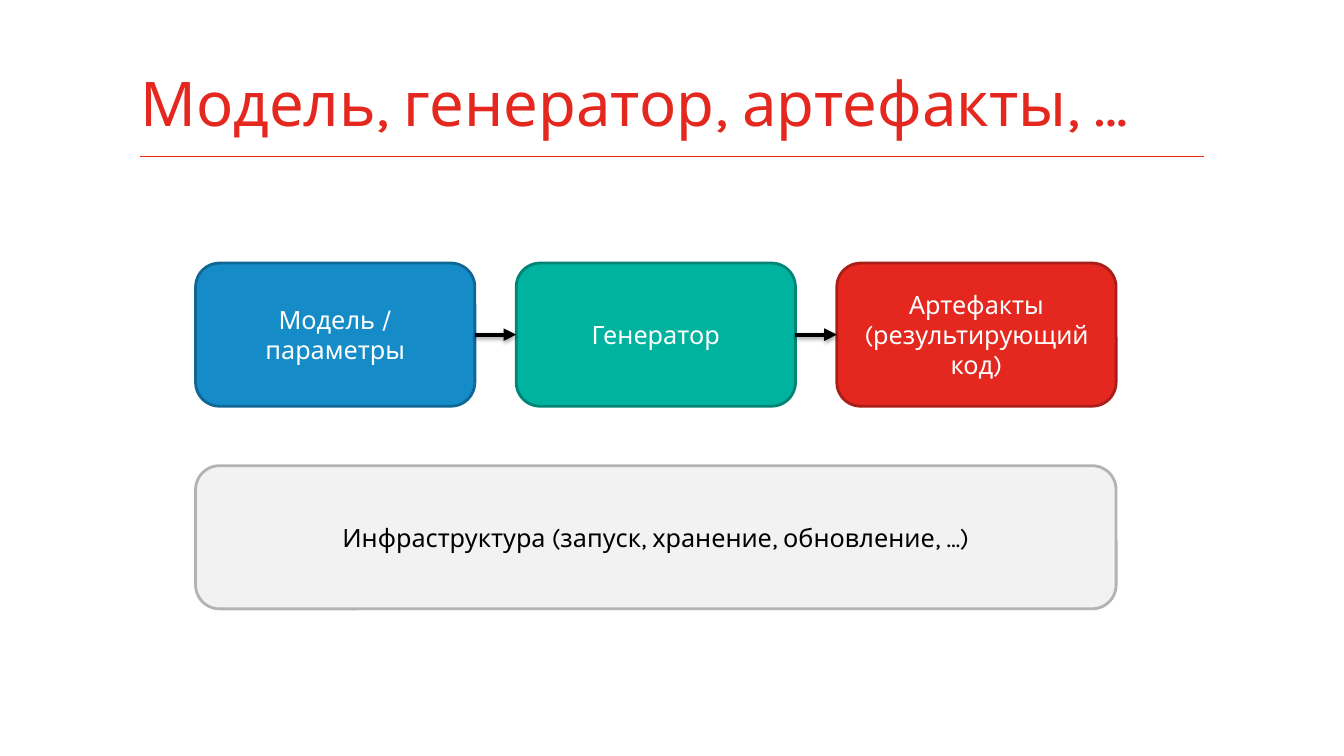
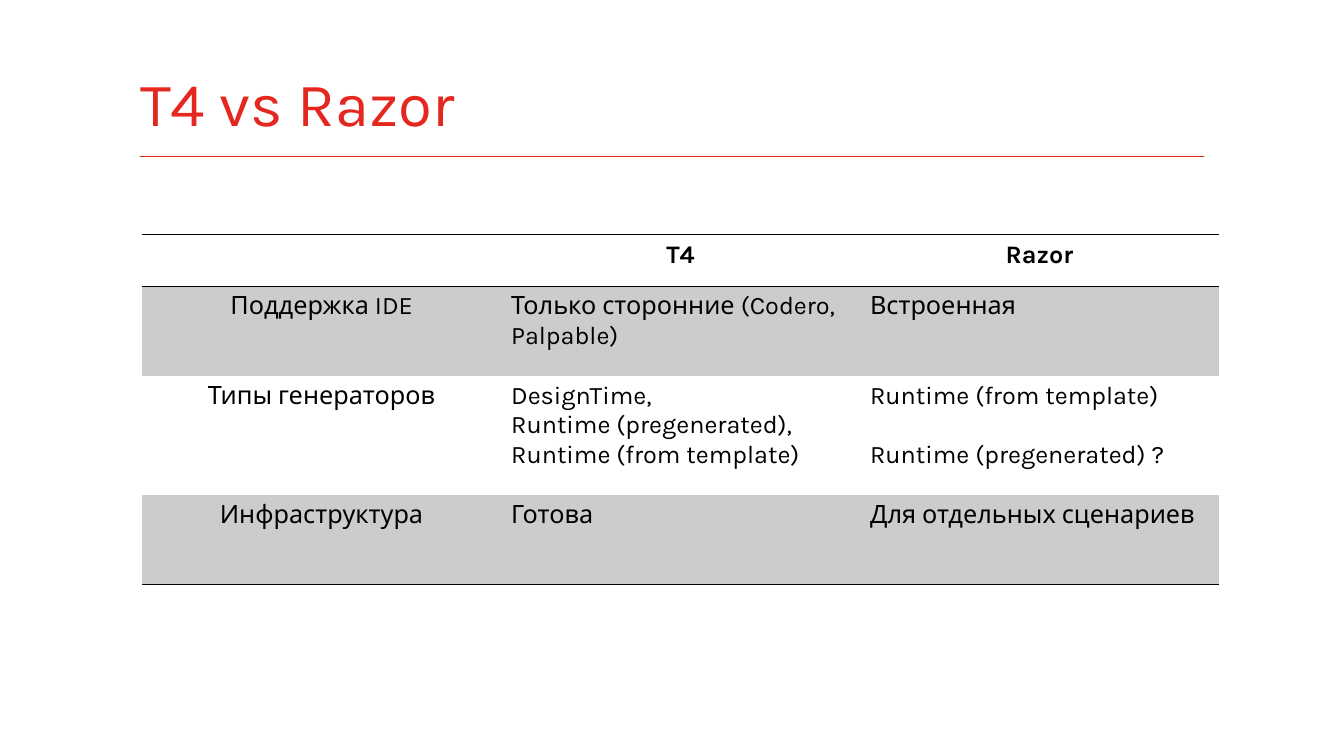
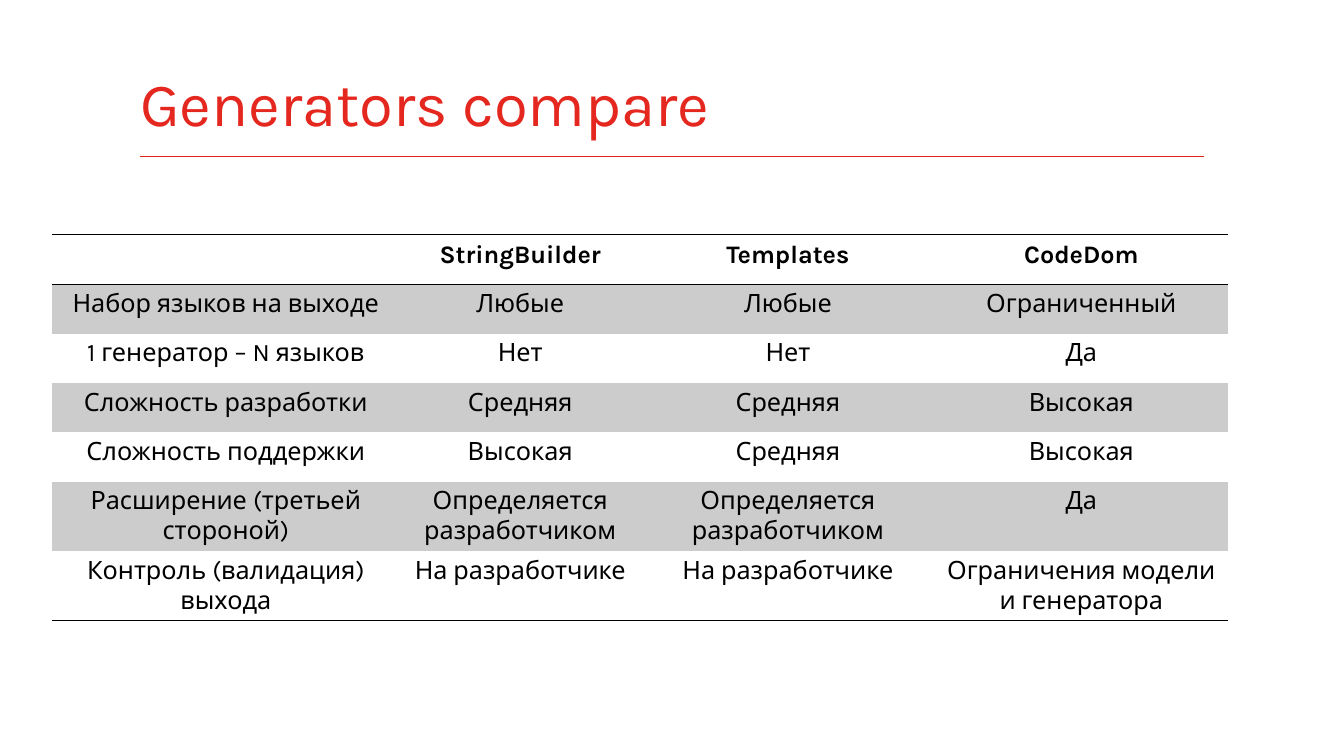
from dataclasses import dataclass
from pptx import Presentation
from pptx.dml.color import RGBColor as Rgb
from pptx.enum.shapes import MSO_CONNECTOR as Link, MSO_SHAPE as Form
from pptx.enum.text import MSO_ANCHOR as Anchor, MSO_AUTO_SIZE as Fit, PP_ALIGN as Align
from pptx.oxml import parse_xml
from pptx.oxml.ns import nsdecls, qn
from pptx.util import Inches, Pt


@dataclass(frozen=True)
class Theme:
    font: str = "Karla"
    head: int = 44
    body: int = 18
    gap: int = 21
    red: str = "E5281F"
    rule: str = "E52319"
    black: str = "000000"
    white: str = "FFFFFF"
    band: str = "CCCCCC"
    plain: str = "{2D5ABB26-0587-4C30-8999-92F81FD0307C}"


T = Theme()
LEFT, WIDE, RULE = 1.39, 10.55, 1.55

FLOW = {
    "title": "Модель, генератор, артефакты, …",
    "steps": [
        ("Модель / параметры", "158BC8", "106794"),
        ("Генератор", "00B39F", "008476"),
        ("Артефакты (результирующий код)", T.red, "A91E17"),
    ],
    "base": ("Инфраструктура (запуск, хранение, обновление, …)", "F2F2F2", "B3B3B3"),
}

GRIDS = [
    {
        "title": "T4 vs Razor",
        "left": 1.41,
        "cols": [3.56] * 3,
        "rows": [0.51, 0.89, 1.18, 0.89],
        "align": Align.LEFT,
        "cells": [
            ("", "T4", "Razor"),
            ("Поддержка IDE", "Только сторонние (Codero, Palpable)", "Встроенная"),
            ("Типы генераторов",
             "DesignTime,\nRuntime (pregenerated),\nRuntime (from template)",
             "Runtime (from template)\n\nRuntime (pregenerated) ?"),
            ("Инфраструктура", "Готова", "Для отдельных сценариев"),
        ],
    },
    {
        "title": "Generators compare",
        "left": 0.52,
        "cols": [3.44, 2.4, 2.91, 2.91],
        "rows": [0.49] * 5 + [0.69] * 2,
        "align": Align.CENTER,
        "cells": [
            ("", "StringBuilder", "Templates", "CodeDom"),
            ("Набор языков на выходе", "Любые", "Любые", "Ограниченный"),
            ("1 генератор – N языков", "Нет", "Нет", "Да"),
            ("Сложность разработки", "Средняя", "Средняя", "Высокая"),
            ("Сложность поддержки", "Высокая", "Средняя", "Высокая"),
            ("Расширение (третьей стороной)", "Определяется разработчиком",
             "Определяется разработчиком", "Да"),
            ("Контроль (валидация) выхода", "На разработчике",
             "На разработчике", "Ограничения модели и генератора"),
        ],
    },
]


def rgb(hue):
    return Rgb.from_string(hue)


def write(para, text, size=T.body, hue=T.black, bold=False, align=Align.LEFT):
    para.alignment = align
    run = para.add_run()
    run.text = text
    font = run.font
    font.name, font.size, font.bold = T.font, Pt(size), bold
    font.color.rgb = rgb(hue)


def open_slide(deck, title):
    slide = deck.slides.add_slide(deck.slide_layouts[5])
    head = slide.shapes.title
    head.left, head.top = Inches(LEFT), Inches(0.36)
    head.width, head.height = Inches(WIDE), Inches(1.18)
    frame = head.text_frame
    frame.auto_size, frame.word_wrap = Fit.NONE, True
    frame.vertical_anchor = Anchor.BOTTOM
    frame.margin_left = frame.margin_right = 0
    frame.margin_top, frame.margin_bottom = Inches(0.05), Inches(0.16)
    write(frame.paragraphs[0], title, T.head, T.red)
    return slide


def add_line(slide, ends, hue, width):
    line = slide.shapes.add_connector(Link.STRAIGHT, *map(Inches, ends))
    line.line.color.rgb, line.line.width = rgb(hue), Pt(width)
    glow = parse_xml(f"<a:effectLst {nsdecls('a')}/>")
    line._element.spPr.append(glow)
    return line, glow


def add_arrow(slide, start, end):
    line, glow = add_line(slide, (0, 0, 1, 1), T.black, 3)
    line.begin_connect(start, 3)
    line.end_connect(end, 1)
    line.line._get_or_add_ln().append(
        parse_xml(f'<a:tailEnd {nsdecls("a")} type="triangle"/>'))
    glow.append(parse_xml(
        f'<a:outerShdw {nsdecls("a")} blurRad="{Pt(3.1)}" dist="{Pt(1.8)}" '
        f'dir="5400000" rotWithShape="0"><a:srgbClr val="{T.black}">'
        '<a:alpha val="35000"/></a:srgbClr></a:outerShdw>'))


def add_box(slide, spot, item, hue):
    text, fill, edge = item
    box = slide.shapes.add_shape(Form.ROUNDED_RECTANGLE, *map(Inches, spot))
    box.shadow.inherit = False
    box.fill.solid()
    box.fill.fore_color.rgb = rgb(fill)
    box.line.color.rgb, box.line.width = rgb(edge), Pt(2)
    frame = box.text_frame
    frame.word_wrap, frame.vertical_anchor = True, Anchor.MIDDLE
    write(frame.paragraphs[0], text, hue=hue, align=Align.CENTER)
    return box


def add_flow(slide, steps, base):
    left, span, width, high = 1.94, 9.13, 2.77, 1.42
    pitch = (span - width) / (len(steps) - 1)
    boxes = [add_box(slide, (left + i * pitch, 2.61, width, high), step, T.white)
             for i, step in enumerate(steps)]
    add_box(slide, (left, 4.62, span, high), base, T.black)
    for start, end in zip(boxes, boxes[1:]):
        add_arrow(slide, start, end)


def add_edge(cell, side):
    cell._tc.get_or_add_tcPr().append(parse_xml(
        f'<a:ln{side} {nsdecls("a")} w="{Pt(1)}"><a:solidFill>'
        f'<a:srgbClr val="{T.black}"/></a:solidFill></a:ln{side}>'))


def fill_cell(cell, text, bold, align):
    para, gap = cell.text_frame.paragraphs[0], 0
    for i, part in enumerate(text.split("\n")):
        if not part:
            gap = T.gap
            continue
        para = cell.text_frame.add_paragraph() if i else para
        para.space_before, gap = Pt(gap), 0
        write(para, part, bold=bold, align=align)


def add_grid(slide, grid):
    cols, rows = grid["cols"], grid["rows"]
    spot = map(Inches, (grid["left"], 2.33, sum(cols), sum(rows)))
    table = slide.shapes.add_table(len(rows), len(cols), *spot).table
    table._tbl.tblPr.find(qn("a:tableStyleId")).text = T.plain
    table.horz_banding = False
    for col, width in zip(table.columns, cols):
        col.width = Inches(width)
    for r, (row, high) in enumerate(zip(table.rows, rows)):
        row.height = Inches(high)
        for c, cell in enumerate(row.cells):
            middle = r == 0 or c == 0
            fill_cell(cell, grid["cells"][r][c], r == 0,
                      Align.CENTER if middle else grid["align"])
            if r == 0:
                add_edge(cell, "T")
            if r in (0, len(rows) - 1):
                add_edge(cell, "B")
            if r % 2:
                cell.fill.solid()
                cell.fill.fore_color.rgb = rgb(T.band)
            else:
                cell.fill.background()


def main():
    deck = Presentation()
    deck.slide_width, deck.slide_height = Inches(13.33), Inches(7.5)
    slide = open_slide(deck, FLOW["title"])
    rule, _ = add_line(slide, (LEFT, RULE, LEFT + WIDE, RULE), T.rule, 0.75)
    slide.slide_layout.shapes._spTree.append(rule._element)
    add_flow(slide, FLOW["steps"], FLOW["base"])
    for grid in GRIDS:
        add_grid(open_slide(deck, grid["title"]), grid)
    deck.save("out.pptx")


if __name__ == "__main__":
    main()
